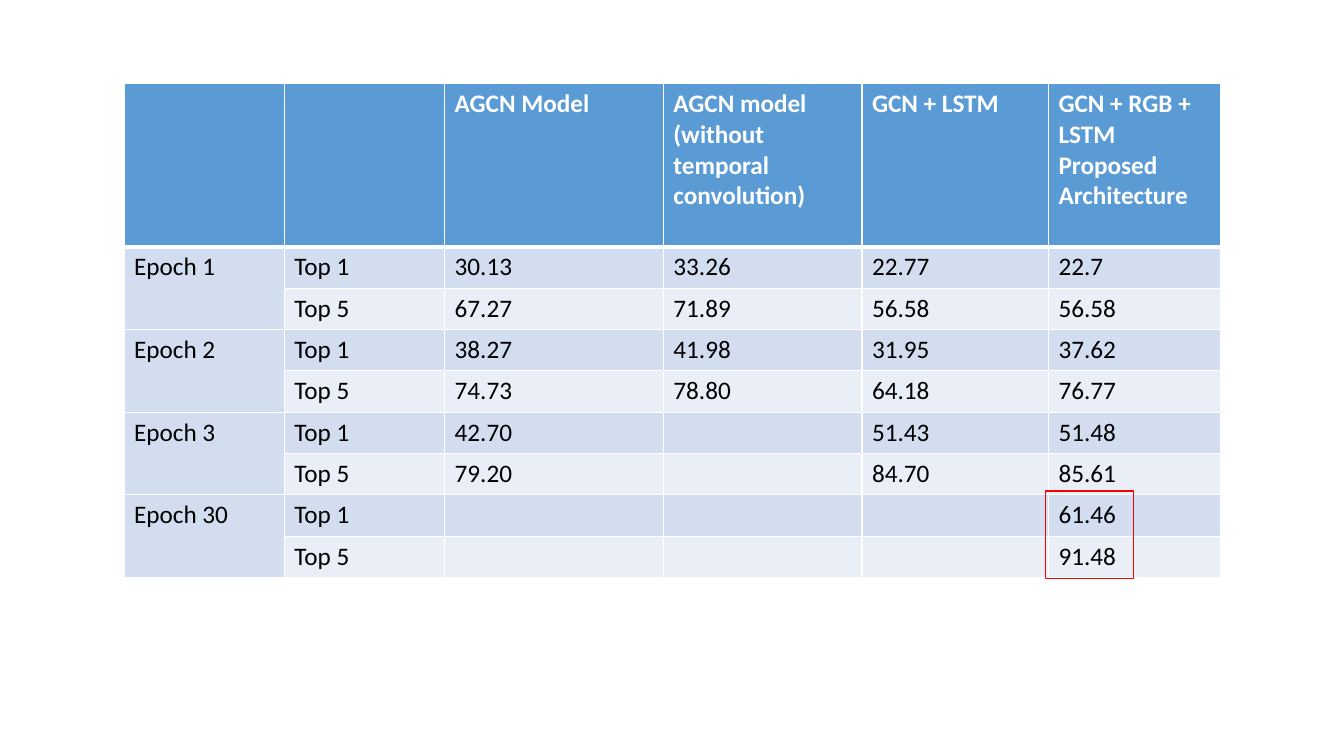
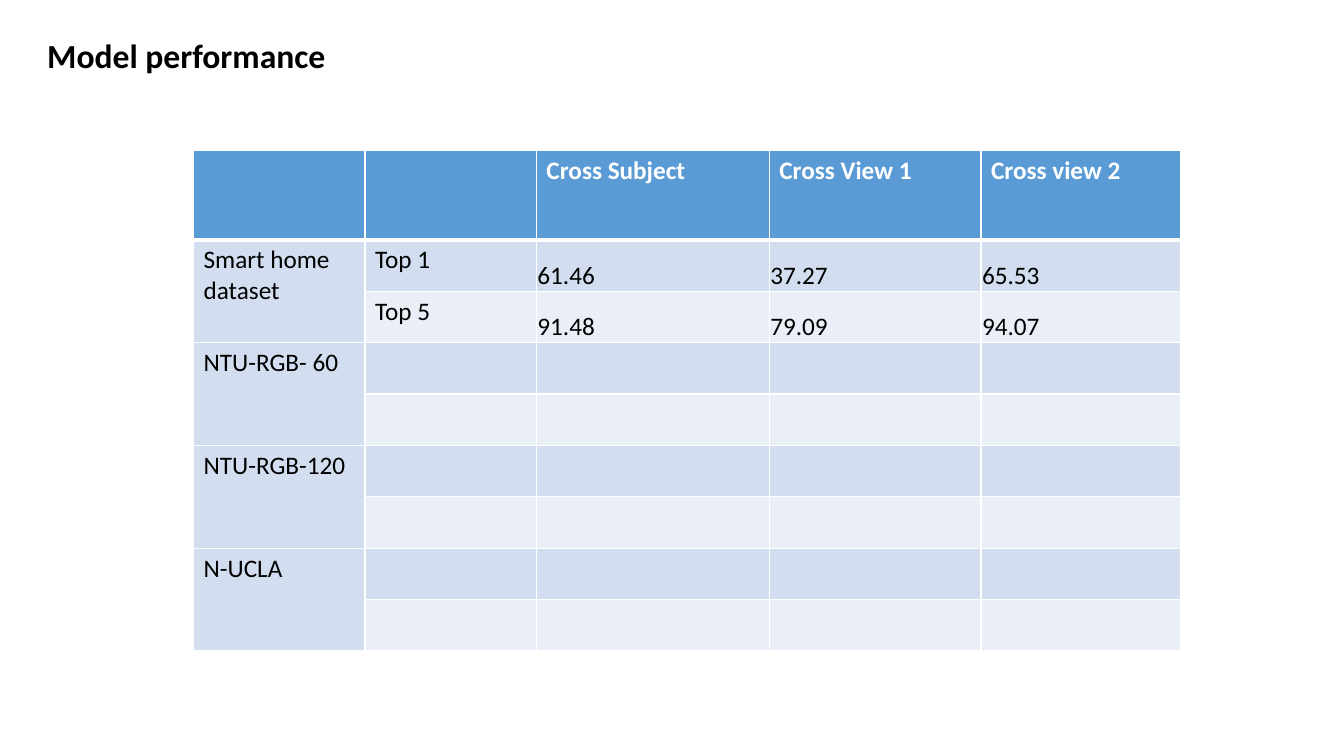
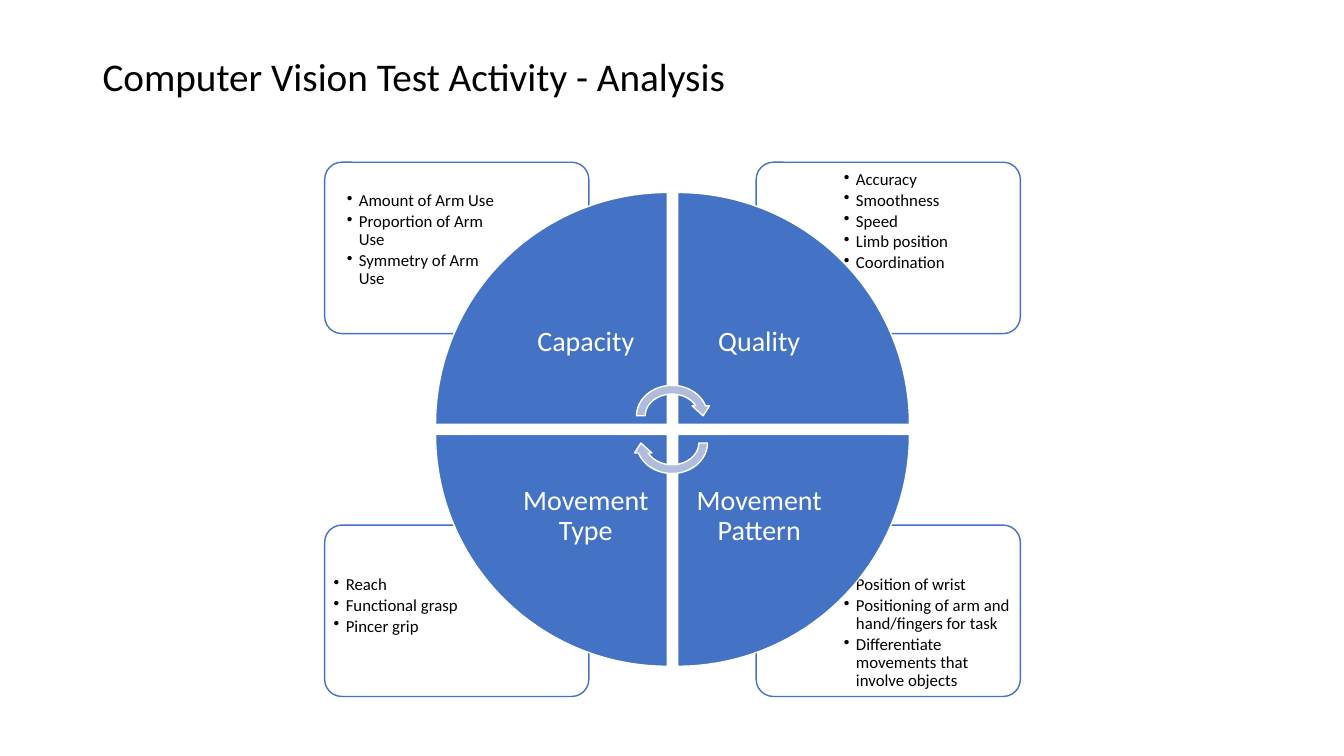
from dataclasses import dataclass

from lxml import etree
from pptx import Presentation
from pptx.dml.color import RGBColor
from pptx.enum.shapes import MSO_SHAPE
from pptx.enum.text import MSO_ANCHOR, PP_ALIGN
from pptx.oxml.ns import qn
from pptx.util import Inches, Pt

RECTANGLE, CARD = MSO_SHAPE.RECTANGLE, MSO_SHAPE.ROUNDED_RECTANGLE
WEDGE, CYCLE_ARROW = MSO_SHAPE.PIE_WEDGE, MSO_SHAPE.CIRCULAR_ARROW
TOP, MIDDLE, BOTTOM = MSO_ANCHOR.TOP, MSO_ANCHOR.MIDDLE, MSO_ANCHOR.BOTTOM
LEFT, CENTER = PP_ALIGN.LEFT, PP_ALIGN.CENTER


@dataclass(frozen=True)
class Theme:
    font: str = "Calibri"
    white: str = "FFFFFF"
    black: str = "000000"
    header: str = "5B9BD5"
    band_dark: str = "D2DEEF"
    band_light: str = "EAEFF7"
    accent: str = "4472C4"
    arrow: str = "B0BCDE"
    highlight: str = "FF0000"
    analysis_title: int = 28
    title: int = 24
    label: int = 20
    table: int = 18
    note: int = 12


THEME = Theme()

# Each group fills two rows: its name spans both.
EPOCH_HEADER = ["", "", "AGCN Model", "AGCN model\n(without temporal convolution)",
                "GCN + LSTM", "GCN + RGB + LSTM\nProposed Architecture"]
EPOCH_GROUPS = [
    ("Epoch 1", ["Top 1", "30.13", "33.26", "22.77", "22.7"],
     ["Top 5", "67.27", "71.89", "56.58", "56.58"]),
    ("Epoch 2", ["Top 1", "38.27", "41.98", "31.95", "37.62"],
     ["Top 5", "74.73", "78.80", "64.18", "76.77"]),
    ("Epoch 3", ["Top 1", "42.70", "", "51.43", "51.48"],
     ["Top 5", "79.20", "", "84.70", "85.61"]),
    ("Epoch 30", ["Top 1", "", "", "", "61.46"],
     ["Top 5", "", "", "", "91.48"]),
]

DATASET_HEADER = ["", "", "Cross Subject", "Cross View 1", "Cross view 2"]
DATASET_GROUPS = [
    ("Smart home dataset", ["Top 1", "61.46", "37.27", "65.53"],
     ["Top 5", "91.48", "79.09", "94.07"]),
    ("NTU-RGB- 60", [""] * 4, [""] * 4),
    ("NTU-RGB-120", [""] * 4, [""] * 4),
    ("N-UCLA", [""] * 4, [""] * 4),
]

# Clockwise from the top left: label, side across, side down,
# bullet indent, space above the bullets, bullets.
QUADRANTS = [
    ("Capacity", -1, -1, 0.25, 0.26,
     ["Amount of Arm Use", "Proportion of Arm Use", "Symmetry of Arm Use"]),
    ("Quality", 1, -1, 0.12, 0.05,
     ["Accuracy", "Smoothness", "Speed", "Limb position", "Coordination"]),
    ("Movement Pattern", 1, 1, 0.12, 0.05,
     ["Position of wrist", "Positioning of arm and hand/fingers for task",
      "Differentiate movements that involve objects"]),
    ("Movement Type", -1, 1, 0.12, 0.05,
     ["Reach", "Functional grasp", "Pincer grip"]),
]
WHEEL_CENTER = (6.67, 4.26)


def rgb(color):
    return RGBColor.from_string(color)


def set_font(para, size, color, bold=False):
    font = para.font
    font.name, font.size, font.bold = THEME.font, Pt(size), bold
    font.color.rgb = rgb(color)


def set_margins(holder, left, top, right, bottom):
    holder.margin_left, holder.margin_top = Inches(left), Inches(top)
    holder.margin_right, holder.margin_bottom = Inches(right), Inches(bottom)


def add_bullet(para, indent):
    properties = para._p.get_or_add_pPr()
    properties.set("marL", str(Inches(indent)))
    properties.set("indent", str(-Inches(0.12)))
    etree.SubElement(properties, qn("a:buChar")).set("char", "•")


def add_text(page, area, lines, size, color=THEME.black, bold=False, align=LEFT,
             anchor=TOP, margins=(0.1, 0.05, 0.1, 0.05), spacing=None,
             after=0, bullet_indent=None):
    frame = page.shapes.add_textbox(*map(Inches, area)).text_frame
    frame.word_wrap, frame.vertical_anchor = True, anchor
    set_margins(frame, *margins)
    frame.text = "\n".join(lines)
    for para in frame.paragraphs:
        if bullet_indent is not None:
            add_bullet(para, bullet_indent)
        para.alignment, para.line_spacing = align, spacing
        para.space_after = Pt(after)
        set_font(para, size, color, bold)


def add_shape(page, kind, area, fill, line, rotation=0):
    shape = page.shapes.add_shape(kind, *map(Inches, area))
    shape.shadow.inherit = False
    shape.rotation = rotation
    if fill:
        shape.fill.solid()
        shape.fill.fore_color.rgb = rgb(fill)
    else:
        shape.fill.background()
    shape.line.color.rgb, shape.line.width = rgb(line), Pt(1)
    return shape


def set_borders(cell, bottom_width):
    properties = cell._tc.get_or_add_tcPr()
    for side, width in (("L", 1), ("R", 1), ("T", 1), ("B", bottom_width)):
        border = etree.SubElement(properties, qn(f"a:ln{side}"), w=str(Pt(width)))
        fill = etree.SubElement(border, qn("a:solidFill"))
        etree.SubElement(fill, qn("a:srgbClr"), val=THEME.white)


def style_cell(cell, text, fill, header):
    set_borders(cell, 3 if header else 1)
    cell.fill.solid()
    cell.fill.fore_color.rgb = rgb(fill)
    cell.text = text
    for para in cell.text_frame.paragraphs:
        set_font(para, THEME.table, THEME.white if header else THEME.black, header)


def add_results(page, left, top, widths, header_height, row_height, header, groups):
    rows = [header]
    for name, first, second in groups:
        rows += [[name, *first], ["", *second]]
    height = header_height + row_height * (len(rows) - 1)
    table = page.shapes.add_table(len(rows), len(header), Inches(left), Inches(top),
                                  Inches(sum(widths)), Inches(height)).table
    for column, width in zip(table.columns, widths):
        column.width = Inches(width)
    for number, texts in enumerate(rows):
        table.rows[number].height = Inches(row_height if number else header_height)
        band = THEME.band_dark if number % 2 else THEME.band_light
        for column, text in enumerate(texts):
            style_cell(table.cell(number, column), text,
                       band if number else THEME.header, number == 0)
    for number in range(1, len(rows), 2):
        table.cell(number, 0).merge(table.cell(number + 1, 0))
    return table


def quadrant_area(across, down, reach, size):
    """Place a box whose outer corner lies at reach from the wheel's centre."""
    start = [middle + side * far - (length if side > 0 else 0)
             for middle, side, far, length
             in zip(WHEEL_CENTER, (across, down), reach, size)]
    return (*start, *size)


def build_epochs(page):
    add_results(page, 1.23, 0.83, [1.59, 1.59, 2.17, 1.97, 1.85, 1.71],
                1.62, 0.41, EPOCH_HEADER, EPOCH_GROUPS)
    add_shape(page, RECTANGLE, (10.37, 4.87, 0.87, 0.87), None, THEME.highlight)


def build_performance(page):
    table = add_results(page, 1.92, 1.49, [1.7, 1.7, 2.31, 2.1, 1.98],
                        0.89, 0.51, DATASET_HEADER, DATASET_GROUPS)
    for row in (1, 2):
        for column in range(2, len(DATASET_HEADER)):
            cell = table.cell(row, column)
            cell.vertical_anchor = BOTTOM
            set_margins(cell, 0.01, 0.01, 0.01, 0)
    add_text(page, (0.37, 0.3, 7.42, 0.5), ["Model performance"],
             THEME.title, bold=True)


def build_analysis(page):
    add_text(page, (0.92, 0.4, 11.5, 0.76),
             ["Computer Vision Test Activity - Analysis"],
             THEME.analysis_title, anchor=MIDDLE, spacing=0.9)
    for _, across, down, indent, space, bullets in QUADRANTS:
        area = quadrant_area(across, down, (3.45, 2.65), (2.62, 1.7))
        card = add_shape(page, CARD, area, THEME.white, THEME.accent)
        card.adjustments[0] = 0.1
        area = quadrant_area(across, down, (3.41, 2.61), (1.76, 1.2))
        add_text(page, area, bullets, THEME.note, margins=(0.05, space, 0.05, 0.05),
                 spacing=0.9, after=1.8, bullet_indent=indent)
    for turn, (label, across, down, *_) in enumerate(QUADRANTS):
        area = quadrant_area(across, down, (2.35, 2.35), (2.3, 2.3))
        add_shape(page, WEDGE, area, THEME.accent, THEME.white, 90 * turn)
        area = quadrant_area(across, down, (1.67, 1.67), (1.62, 1.62))
        add_text(page, area, [label], THEME.label, THEME.white, align=CENTER,
                 anchor=MIDDLE, margins=(0.16,) * 4, spacing=0.9)
    for top, rotation in ((3.78, 0), (4.05, 180)):
        add_shape(page, CYCLE_ARROW, (6.27, top, 0.79, 0.69),
                  THEME.arrow, THEME.white, rotation)


def main():
    deck = Presentation()
    deck.slide_width, deck.slide_height = Inches(13.33), Inches(7.5)
    blank = deck.slide_layouts[6]
    for build in (build_epochs, build_performance, build_analysis):
        build(deck.slides.add_slide(blank))
    deck.save("out.pptx")


if __name__ == "__main__":
    main()
